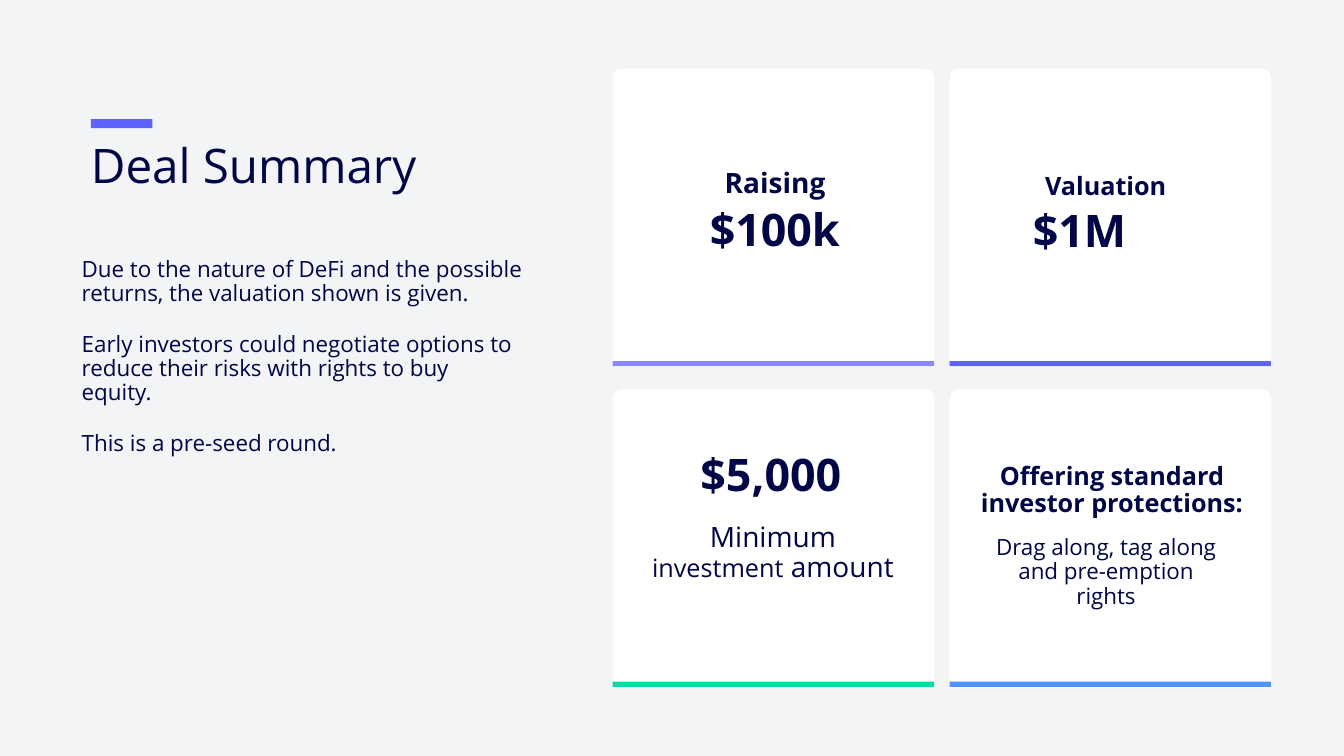
from dataclasses import dataclass

from lxml import etree
from pptx import Presentation
from pptx.dml.color import RGBColor
from pptx.enum.shapes import MSO_SHAPE
from pptx.enum.text import MSO_ANCHOR, MSO_AUTO_SIZE, PP_ALIGN
from pptx.oxml.ns import qn
from pptx.util import Cm, Pt

RECT = MSO_SHAPE.RECTANGLE
ROUND = MSO_SHAPE.ROUND_2_SAME_RECTANGLE
TOP = MSO_ANCHOR.TOP
FIXED = MSO_AUTO_SIZE.NONE
LEFT = PP_ALIGN.LEFT
MID = PP_ALIGN.CENTER


@dataclass(frozen=True)
class Theme:
    font: str = "Open Sans"
    ink: str = "000646"
    back: str = "F2F4F5"
    card: str = "FFFFFF"
    accent: str = "6062FF"
    bars: tuple = ("8887FC", "6062FF", "04DCA2", "5093FC")
    title: int = 34
    figure: int = 32
    large: int = 20
    label: int = 18
    body: int = 16
    pitch: float = 0.9
    gap: int = 19


LOOK = Theme()

TITLE = "Deal Summary"
BODY = [
    "Due to the nature of DeFi and the possible returns, the valuation shown is given.",
    "Early investors could negotiate options to reduce their risks with rights to buy equity.",
    "This is a pre-seed round.",
]
FLUSH, SNUG, EVEN = (0, 0), (0.25, 0.13), (0.25, 0.25)
TEXTS = [
    ([("Raising", LOOK.large)], True, MID, SNUG, (17.86, 4.14, 3.35, 1.12)),
    ([("$100k", LOOK.figure)], True, MID, FLUSH, (16.56, 5.23, 5.94, 1.45)),
    ([("Valuation", LOOK.label)], True, MID, FLUSH, (24.31, 4.37, 7.11, 1.45)),
    ([("$1M", LOOK.figure)], True, LEFT, EVEN, (25.78, 5, 5.41, 1.63)),
    ([("$5,000", LOOK.figure)], True, MID, FLUSH, (16.46, 11.4, 5.94, 1.63)),
    ([("Minimum ", LOOK.large), ("investment", LOOK.label), (" amount", LOOK.large)],
     False, MID, SNUG, (15.95, 13.06, 7.06, 1.96)),
    ([("Offering standard investor protections:", LOOK.label)],
     True, MID, FLUSH, (24.66, 11.68, 6.73, 2.57)),
    ([("Drag along, tag along and pre-emption rights", LOOK.body)],
     False, MID, SNUG, (24.66, 13.39, 6.43, 3)),
]
GRID = (15.44, 1.73)
STEP = (8.49, 8.08)
CARD = (8.1, 7.52)
BAR = (7.37, 0.13)


def place(shape, box):
    shape.left, shape.top, shape.width, shape.height = map(Cm, box)


def block(slide, kind, box, color):
    shape = slide.shapes.add_shape(kind, *map(Cm, box))
    shape.shadow.inherit = False
    shape.fill.solid()
    shape.fill.fore_color.rgb = RGBColor.from_string(color)
    shape.line.fill.background()
    return shape


def frame(shape, inset=FLUSH):
    text = shape.text_frame
    text.word_wrap = True
    text.auto_size = FIXED
    text.vertical_anchor = TOP
    text.margin_left = text.margin_right = Cm(inset[0])
    text.margin_top = text.margin_bottom = Cm(inset[1])
    return text


def style(para, sizes, bold=False, align=LEFT, before=0):
    para.alignment = align
    para.line_spacing = LOOK.pitch
    para.space_before = Pt(before)
    para.space_after = Pt(0)
    for run, size in zip(para.runs, sizes):
        run.font.name = LOOK.font
        run.font.size = Pt(size)
        run.font.bold = bold
        run.font.color.rgb = RGBColor.from_string(LOOK.ink)


def plain(para):
    props = para._p.get_or_add_pPr()
    props.set("marL", "0")
    props.set("indent", "0")
    etree.SubElement(props, qn("a:buNone"))


def cards(slide):
    for i, color in enumerate(LOOK.bars):
        row, col = divmod(i, 2)
        x = GRID[0] + col * STEP[0]
        y = GRID[1] + row * STEP[1]
        card = block(slide, ROUND, (x, y, *CARD), LOOK.card)
        card.adjustments[0] = 0.03
        block(slide, RECT, (x, y + BAR[0], CARD[0], BAR[1]), color)


def intro(slide):
    block(slide, RECT, (2.29, 3, 1.55, 0.23), LOOK.accent)
    title, body = slide.shapes.title, slide.placeholders[1]
    place(title, (2.29, 3.58, 11.15, 1.45))
    text = frame(title)
    text.text = TITLE
    style(text.paragraphs[0], [LOOK.title])
    place(body, (2.06, 6.5, 11.15, 7.77))
    text = frame(body)
    text.text = "\n".join(BODY)
    for i, para in enumerate(text.paragraphs):
        style(para, [LOOK.body], before=LOOK.gap if i else 0)
        plain(para)


def labels(slide):
    for parts, bold, align, inset, box in TEXTS:
        text = frame(slide.shapes.add_textbox(*map(Cm, box)), inset)
        para = text.paragraphs[0]
        for words, size in parts:
            para.add_run().text = words
        style(para, [size for words, size in parts], bold, align)


def main():
    deck = Presentation()
    deck.slide_width, deck.slide_height = Cm(33.87), Cm(19.05)
    slide = deck.slides.add_slide(deck.slide_layouts[1])
    fill = slide.background.fill
    fill.solid()
    fill.fore_color.rgb = RGBColor.from_string(LOOK.back)
    cards(slide)
    intro(slide)
    labels(slide)
    deck.save("out.pptx")


if __name__ == "__main__":
    main()
